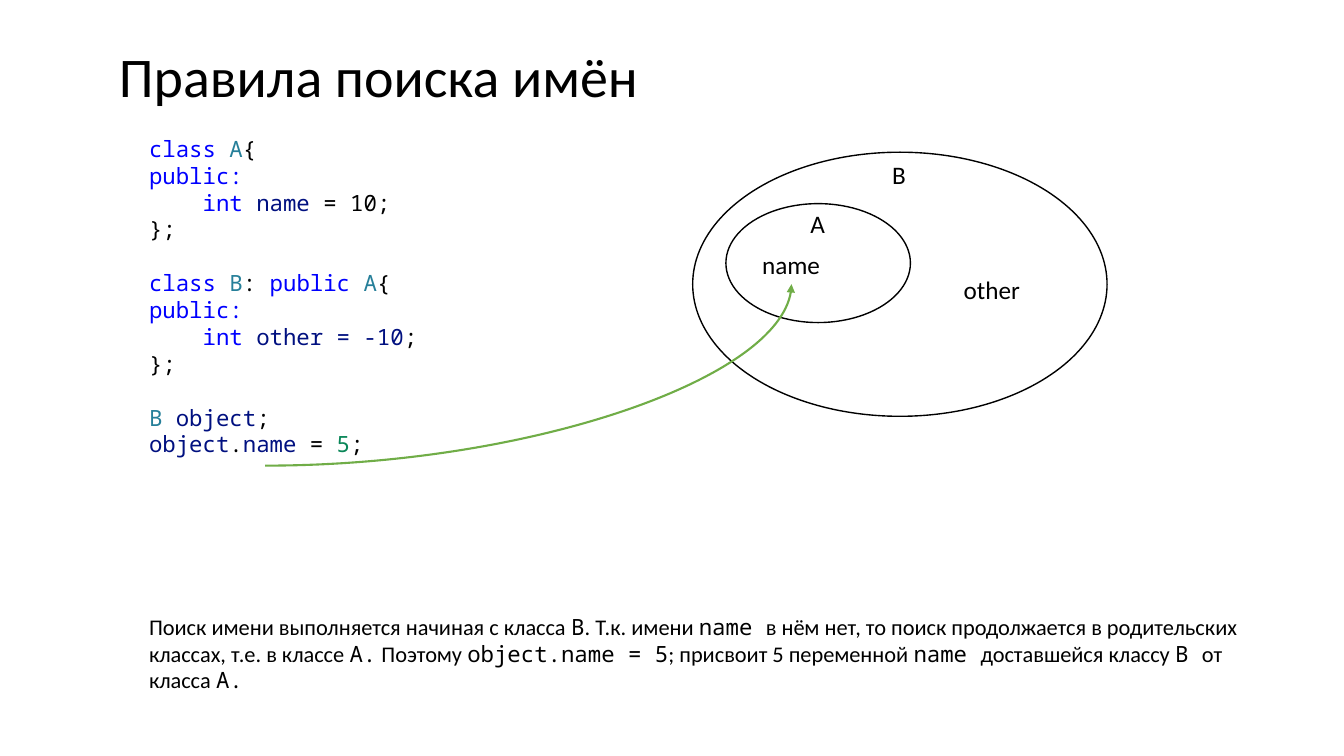
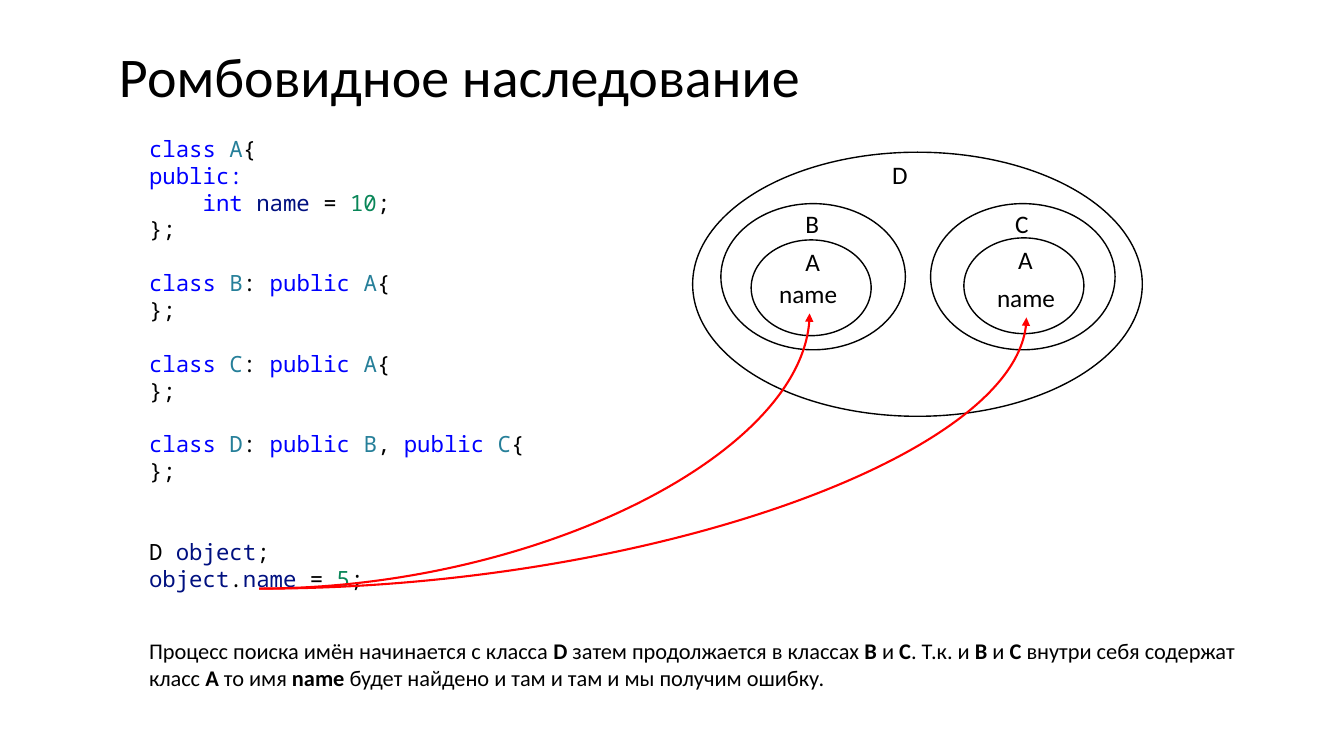
import pptx
import pptx.dml.color
import pptx.enum.shapes
import pptx.enum.text
import pptx.oxml.ns
import pptx.util
import lxml.etree

Inches, Pt = pptx.util.Inches, pptx.util.Pt

COLORS = {
    "text": "000000",
    "paper": "FFFFFF",
    "keyword": "0000FF",
    "type": "267F99",
    "variable": "001080",
    "number": "098658",
    "found": "70AD47",
    "conflict": "FF0000",
}
BODY_FONT, CODE_FONT = "Calibri", "Noto Sans Mono"
TEXT_LEFT = 1.38
CODE_TOP = 1.29
CODE_LEADING = 19.2


def rgb(name):
    return pptx.dml.color.RGBColor.from_string(COLORS[name])


def style(font, size, name=BODY_FONT):
    font.size, font.name = Pt(size), name
    font.color.rgb = rgb("text")


def add_titled_slide(deck, heading):
    slide = deck.slides.add_slide(deck.slide_layouts[5])
    title = slide.shapes.title
    title.left, title.top = Inches(1.08), Inches(0.39)
    title.width, title.height = Inches(11.5), Inches(0.79)
    title.text_frame.text = heading
    title.text_frame.vertical_anchor = pptx.enum.text.MSO_ANCHOR.MIDDLE
    paragraph = title.text_frame.paragraphs[0]
    paragraph.alignment = pptx.enum.text.PP_ALIGN.LEFT
    paragraph.line_spacing = 0.9
    style(paragraph.font, 40)
    return slide


def add_text_frame(slide, left, top, width, height, wrap=True):
    box = slide.shapes.add_textbox(
        Inches(left), Inches(top), Inches(width), Inches(height))
    box.text_frame.word_wrap = wrap
    return box.text_frame


# Code listings: blocks of lines, each line a list of (text, colour) tokens
def class_block(name, bases="", members=()):
    head = [("class ", "keyword"), (name, "type")]
    for index, base in enumerate(bases):
        head += [(", " if index else ": ", "text"),
                 ("public ", "keyword"), (base, "type")]
    lines = [head + [("{", "text")]]
    if members:
        lines.append([("public:", "keyword")])
        lines += [[("    ", "text"), ("int ", "keyword"), *member]
                  for member in members]
    return lines + [[("};", "text")]]


def object_block(class_name, color):
    return [
        [(class_name + " ", color), ("object", "variable"), (";", "text")],
        [("object", "variable"), (".", "text"), ("name", "variable"),
         (" = ", "text"), ("5", "number"), (";", "text")],
    ]


def add_code(slide, height, blocks, last_gap=1):
    frame = add_text_frame(slide, TEXT_LEFT, CODE_TOP, 6.67, height)
    paragraph = None
    for block in blocks:
        gap = last_gap if block is blocks[-1] else 1
        for index, line in enumerate(block):
            first = paragraph is None
            paragraph = frame.paragraphs[0] if first else frame.add_paragraph()
            paragraph.line_spacing = Pt(CODE_LEADING)
            if index == 0 and not first:
                paragraph.space_before = Pt(CODE_LEADING * gap)
            style(paragraph.font, 16, CODE_FONT)
            for text, color in line:
                run = paragraph.add_run()
                run.text = text
                run.font.color.rgb = rgb(color)


def add_explanation(slide, top, height, text, emphasis):
    """Parts of the text between backticks get the emphasis."""
    frame = add_text_frame(slide, TEXT_LEFT, top, 11.04, height)
    paragraph = frame.paragraphs[0]
    style(paragraph.font, 16)
    for index, part in enumerate(text.split("`")):
        run = paragraph.add_run()
        run.text = part
        if index % 2:
            emphasis(run.font)


def code_font(font):
    font.name = CODE_FONT


def bold(font):
    font.bold = True


# Scope diagram
def add_scope(slide, left, top, width, height):
    scope = slide.shapes.add_shape(
        pptx.enum.shapes.MSO_SHAPE.OVAL,
        Inches(left), Inches(top), Inches(width), Inches(height))
    scope.shadow.inherit = False
    scope.fill.solid()
    scope.fill.fore_color.rgb = rgb("paper")
    scope.line.color.rgb = rgb("text")
    scope.line.width = Pt(1)


def add_label(slide, text, left, top):
    width = 0.35 if len(text) == 1 else 0.78
    frame = add_text_frame(slide, left, top, width, 0.4, wrap=False)
    frame.text = text
    style(frame.paragraphs[0].font, 18)


def add_lookup_arrow(slide, start, end, color):
    arrow = slide.shapes.add_connector(
        pptx.enum.shapes.MSO_CONNECTOR.CURVE,
        *(Inches(value) for value in (*start, *end)))
    arrow.line.color.rgb = rgb(color)
    arrow.line.width = Pt(1.5)
    qn = pptx.oxml.ns.qn
    properties = arrow.element.spPr
    # A quarter bend with a triangular head and no shadow
    properties.find(qn("a:prstGeom")).set("prst", "curvedConnector2")
    lxml.etree.SubElement(
        properties.find(qn("a:ln")), qn("a:tailEnd")).set("type", "triangle")
    lxml.etree.SubElement(properties, qn("a:effectLst"))


def add_diagram(slide, scopes, labels, arrow_start, arrow_ends, color):
    for scope in scopes:
        add_scope(slide, *scope)
    for label in labels:
        add_label(slide, *label)
    for end in arrow_ends:
        add_lookup_arrow(slide, arrow_start, end, color)


def add_name_lookup(deck):
    slide = add_titled_slide(deck, "Правила поиска имён")
    add_code(slide, 3.33, [
        class_block("A", members=[[("name ", "variable"), ("= 10;", "text")]]),
        class_block("B", "A", [[("other = -10", "variable"), (";", "text")]]),
        object_block("B", "type"),
    ])
    add_diagram(
        slide,
        scopes=[(6.87, 1.51, 4.11, 2.62), (7.2, 2.02, 1.83, 1.18)],
        labels=[("A", 7.94, 2.02), ("name", 7.46, 2.42),
                ("B", 8.75, 1.53), ("other", 9.46, 2.67)],
        arrow_start=(2.63, 4.62), arrow_ends=[(7.85, 2.82)], color="found")
    add_explanation(
        slide, 6.03, 0.91,
        "Поиск имени выполняется начиная с класса `B`. Т.к. имени `name `"
        "в нём нет, то поиск продолжается в родительских классах, т.е. в "
        "классе `A.` Поэтому `object.name = 5`; присвоит 5 переменной `name `"
        "доставшейся классу `B `от класса `A.`", code_font)


def add_diamond_inheritance(deck):
    slide = add_titled_slide(deck, "Ромбовидное наследование")
    add_code(slide, 4.68, [
        class_block("A", members=[[("name", "variable"), (" = ", "text"),
                                   ("10", "number"), (";", "text")]]),
        class_block("B", "A"),
        class_block("С", "A"),
        class_block("D", "BC"),
        object_block("D", "text"),
    ], last_gap=2)
    add_diagram(
        slide,
        scopes=[(6.87, 1.51, 4.46, 2.62),
                (7.15, 2.02, 1.83, 1.45), (9.23, 2.02, 1.83, 1.45),
                (7.45, 2.38, 1.19, 0.95), (9.56, 2.36, 1.19, 0.95)],
        labels=[("D", 8.75, 1.53),
                ("B", 7.89, 2.02), ("A", 7.89, 2.39), ("name", 7.63, 2.71),
                ("C", 9.97, 2.02), ("A", 10, 2.37), ("name", 9.79, 2.75)],
        arrow_start=(2.57, 5.84), arrow_ends=[(8.03, 3.11), (10.18, 3.15)],
        color="conflict")
    add_explanation(
        slide, 6.27, 0.64,
        "Процесс поиска имён начинается с класса `D `затем продолжается в "
        "классах `B `и `C`. Т.к. и `B `и `C` внутри себя содержат класс `A `"
        "то имя `name `будет найдено и там и там и мы получим ошибку.", bold)


def main():
    deck = pptx.Presentation()
    deck.slide_width, deck.slide_height = Inches(13.33), Inches(7.5)
    add_name_lookup(deck)
    add_diamond_inheritance(deck)
    deck.save("out.pptx")


if __name__ == "__main__":
    main()
